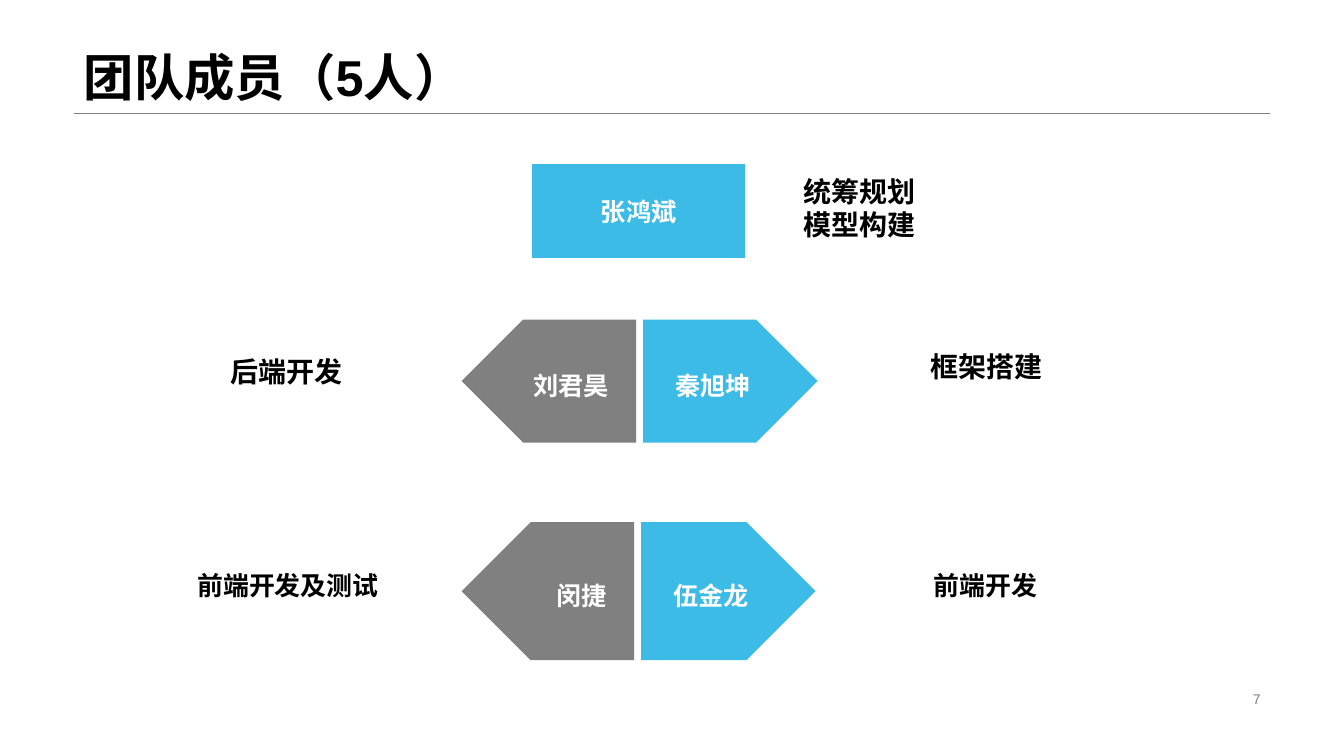
from pptx import Presentation
from pptx import util as u
from pptx.dml.color import RGBColor
from pptx.enum import shapes as s, text as t
from pptx.oxml import ns, xmlchemy

WIDTH, HEIGHT = u.Inches(13.333), u.Inches(7.5)
BLACK = RGBColor(0x00, 0x00, 0x00)
WHITE = RGBColor(0xFF, 0xFF, 0xFF)
GREY = RGBColor(0x80, 0x80, 0x80)
BLUE = RGBColor(0x3C, 0xBB, 0xE7)

LEFT, MIDDLE, RIGHT = t.PP_ALIGN.LEFT, t.PP_ALIGN.CENTER, t.PP_ALIGN.RIGHT
MARGIN, CONTENT_WIDTH, HEADER = 5.48, 89.05, 14.93
PAIR_LEFT = 34.35

# Per row: arrow top and height, label size and line spacing, then each member's
# name, arrow (left, width), role and role box, in percent of the slide.
ROWS = [
    dict(top=42.27, height=16.27, size=20, spacing=1.0, members=[
        ("刘君昊", (PAIR_LEFT, 12.98), "后端开发", (10.8, 42.8, 21.08, 12.53)),
        ("秦旭坤", (47.85, 12.98), "框架搭建", (62.93, 42.27, 20.93, 12.27))]),
    dict(top=69.07, height=18.27, size=18.5, spacing=0.9, members=[
        ("闵捷", (PAIR_LEFT, 12.83), "前端开发及测试", (10.65, 75.07, 21.53, 5.2)),
        ("伍金龙", (47.7, 12.98), "前端开发", (62.63, 75.07, 21.38, 5.2))]),
]


def share(left, top, width, height):
    """Turn percentages of the slide into lengths."""
    return [int(part * whole / 100) for part, whole in
            zip((left, top, width, height), (WIDTH, HEIGHT, WIDTH, HEIGHT))]


def apply(target, values):
    for name, value in values.items():
        setattr(target, name, value)


def write(holder, lines, size, color=BLACK, bold=True, align=MIDDLE,
          anchor=t.MSO_ANCHOR.MIDDLE, spacing=1.0, **insets):
    frame = holder.text_frame
    frame.text = lines
    apply(frame, dict(word_wrap=True, auto_size=t.MSO_AUTO_SIZE.NONE,
                      vertical_anchor=anchor, **insets))
    for paragraph in frame.paragraphs:
        apply(paragraph, dict(alignment=align, line_spacing=spacing))
        apply(paragraph.font, dict(name="Arial", size=u.Pt(size), bold=bold))
        paragraph.font.color.rgb = color


def add_label(slide, box, lines, size, **look):
    write(slide.shapes.add_textbox(*share(*box)), lines, size, **look)


def add_block(slide, preset, box, fill):
    block = slide.shapes.add_shape(preset, *share(*box))
    block.shadow.inherit = False
    block.fill.solid()
    block.fill.fore_color.rgb = fill
    block.line.fill.background()
    return block


def add_header(slide, title):
    heading = slide.shapes.title
    box = share(MARGIN, 0, CONTENT_WIDTH, HEADER)
    apply(heading, dict(zip(("left", "top", "width", "height"), box)))
    write(heading, title, 36, align=LEFT, anchor=t.MSO_ANCHOR.BOTTOM, spacing=0.9)
    left, bottom, width, _ = share(MARGIN, HEADER, CONTENT_WIDTH, 0)
    rule = slide.shapes.add_connector(s.MSO_CONNECTOR.STRAIGHT,
                                      left, bottom, left + width, bottom)
    rule.line.color.rgb = GREY
    rule.line.width = u.Pt(0.25)
    rule._element.spPr.append(xmlchemy.OxmlElement("a:effectLst"))


def add_leader(slide, name, roles):
    leader = add_block(slide, s.MSO_SHAPE.RECTANGLE, (39.53, 21.6, 15.98, 12.67), BLUE)
    leader.line.color.rgb = WHITE
    leader.line.width = u.Pt(1.5)
    write(leader, name, 18, WHITE)
    add_label(slide, (53.4, 21.2, 21.08, 12.53), roles, 20)


def add_member(slide, name, box, points_left):
    arrow = add_block(slide, s.MSO_SHAPE.PENTAGON, box, GREY if points_left else BLUE)
    look = dict(align=LEFT, margin_left=u.Inches(0.32))
    if points_left:
        arrow._element.spPr.find(ns.qn("a:xfrm")).set("flipH", "1")
        look = dict(align=RIGHT, margin_right=u.Inches(0.27))
    write(arrow, name, 18, WHITE, margin_top=u.Inches(0.13), **look)


def main():
    deck = Presentation()
    apply(deck, dict(slide_width=WIDTH, slide_height=HEIGHT))
    slide = deck.slides.add_slide(deck.slide_layouts.get_by_name("Title Only"))
    add_header(slide, "团队成员（5人）")
    add_leader(slide, "张鸿斌", "统筹规划\n模型构建")
    for row in ROWS:
        for side, (name, (left, width), role, role_box) in enumerate(row["members"]):
            add_member(slide, name, (left, row["top"], width, row["height"]), side == 0)
            add_label(slide, role_box, role, row["size"], spacing=row["spacing"])
    add_label(slide, (70.67, 90.93, 23.86, 3.07), "7", 10, color=GREY,
              bold=False, align=RIGHT)
    deck.save("out.pptx")


if __name__ == "__main__":
    main()
